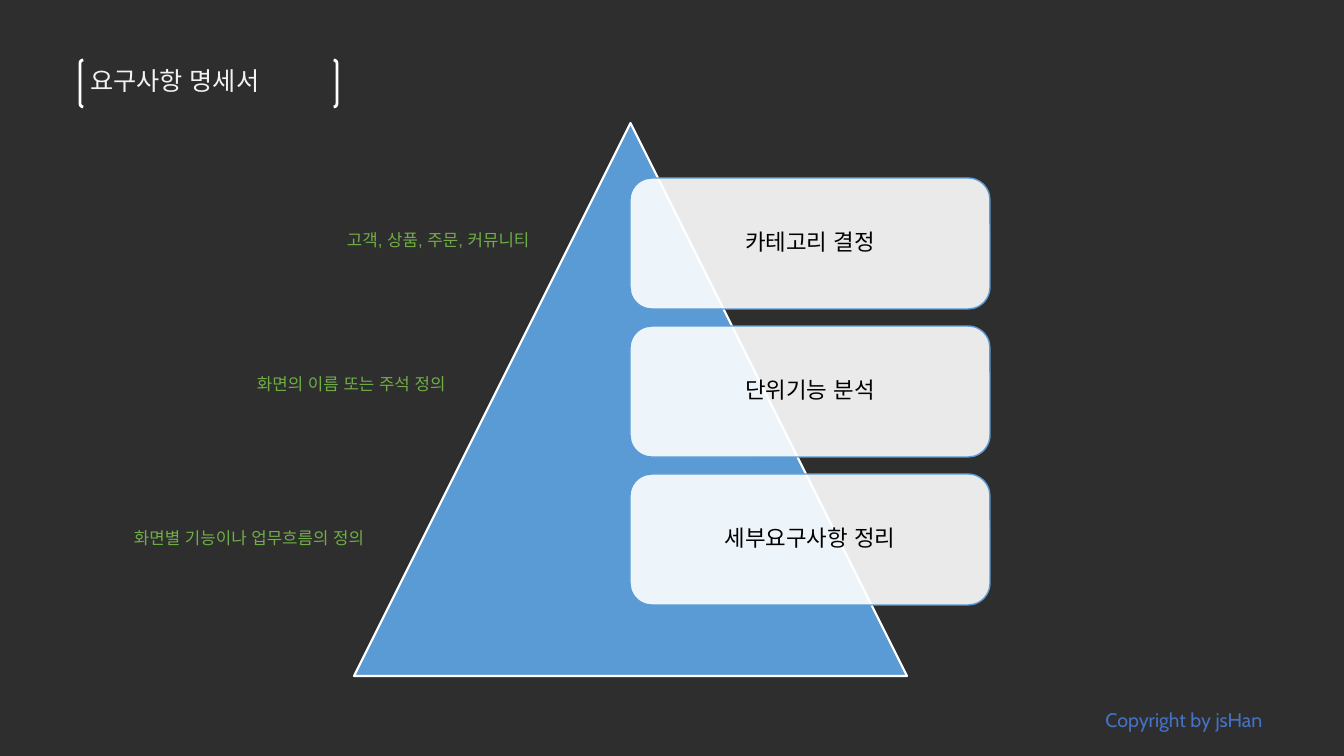
from lxml.etree import SubElement
from pptx import Presentation
from pptx.dml.color import RGBColor
from pptx.enum.lang import MSO_LANGUAGE_ID
from pptx.enum.shapes import MSO_SHAPE
from pptx.enum.text import MSO_ANCHOR, MSO_AUTO_SIZE, PP_ALIGN
from pptx.oxml.ns import qn
from pptx.util import Pt

SCALE = 914400 / 100.8  # EMU per px

DARK = RGBColor(0x2E, 0x2E, 0x2E)
WHITE = RGBColor(0xFF, 0xFF, 0xFF)
PALE = RGBColor(0xF2, 0xF2, 0xF2)
BLACK = RGBColor(0, 0, 0)
BLUE = RGBColor(0x5B, 0x9B, 0xD5)
ROYAL = RGBColor(0x44, 0x72, 0xC4)
GREEN = RGBColor(0x70, 0xAD, 0x47)

STEPS = ["카테고리 결정", "단위기능 분석", "세부요구사항 정리"]
NOTES = [
    ("고객, 상품, 주문, 커뮤니티", (337, 225, 219, 30)),
    ("화면의 이름 또는 주석 정의", (247, 369, 253, 30)),
    ("화면별 기능이나 업무흐름의 정의", (124, 523, 284, 30)),
]


def px(num):
    return round(num * SCALE)


def put_text(shape, text, size, color, font="Arial", align=PP_ALIGN.LEFT,
             anchor=MSO_ANCHOR.TOP, pad=(10, 5), space=1.0):
    frame = shape.text_frame
    frame.word_wrap = True
    frame.auto_size = MSO_AUTO_SIZE.NONE
    frame.vertical_anchor = anchor
    frame.margin_left = frame.margin_right = px(pad[0])
    frame.margin_top = frame.margin_bottom = px(pad[1])
    para = frame.paragraphs[0]
    para.alignment = align
    para.line_spacing = space
    run = para.add_run()
    run.text = text
    run.font.size = Pt(size)
    run.font.color.rgb = color
    run.font.name = font
    run.font.language_id = MSO_LANGUAGE_ID.KOREAN
    SubElement(run.font._element, qn("a:ea"), typeface=font)


def add_shape(slide, kind, box, line, width, fill=None, alpha=None):
    """Add a preset shape; alpha is the opacity of its fill in percent."""
    shape = slide.shapes.add_shape(kind, *map(px, box))
    shape.shadow.inherit = False
    shape.line.color.rgb = line
    shape.line.width = Pt(width)
    if fill is None:
        shape.fill.background()
    else:
        shape.fill.solid()
        shape.fill.fore_color.rgb = fill
    if alpha is not None:
        color = shape.fill._xPr.find(qn("a:solidFill"))[0]
        SubElement(color, qn("a:alpha"), val=str(alpha * 1000))
    return shape


def add_label(slide, text, box, size, color, **style):
    label = slide.shapes.add_textbox(*map(px, box))
    put_text(label, text, size, color, **style)


def add_title(slide, text, box):
    title = slide.shapes.title
    title.left, title.top, title.width, title.height = map(px, box)
    put_text(title, text, 18, PALE)
    frame = add_shape(slide, MSO_SHAPE.DOUBLE_BRACKET, box, WHITE, 2)
    frame.adjustments[0] = 0.07


def add_card(slide, text, box):
    card = add_shape(slide, MSO_SHAPE.ROUNDED_RECTANGLE, box, BLUE, 1,
                     fill=WHITE, alpha=90)
    put_text(card, text, 16, BLACK, font="Noto Sans CJK KR",
             align=PP_ALIGN.CENTER, anchor=MSO_ANCHOR.MIDDLE,
             pad=(14, 14), space=0.9)


def main():
    deck = Presentation()
    deck.slide_width, deck.slide_height = px(1344), px(756)
    slide = deck.slides.add_slide(deck.slide_layouts[5])
    slide.background.fill.solid()
    slide.background.fill.fore_color.rgb = DARK

    add_label(slide, "Copyright by jsHan", (1075, 689, 218, 62), 14, ROYAL,
              font="Cabin", align=PP_ALIGN.CENTER, anchor=MSO_ANCHOR.MIDDLE)
    add_title(slide, "요구사항 명세서", (80, 60, 257, 47))
    add_shape(slide, MSO_SHAPE.ISOSCELES_TRIANGLE, (354, 123, 553, 553),
              WHITE, 1.5, fill=BLUE)
    for row, step in enumerate(STEPS):
        add_card(slide, step, (630, 178 + 148 * row, 360, 131))
    for note, box in NOTES:
        add_label(slide, note, box, 12, GREEN)
    deck.save("out.pptx")


if __name__ == "__main__":
    main()
